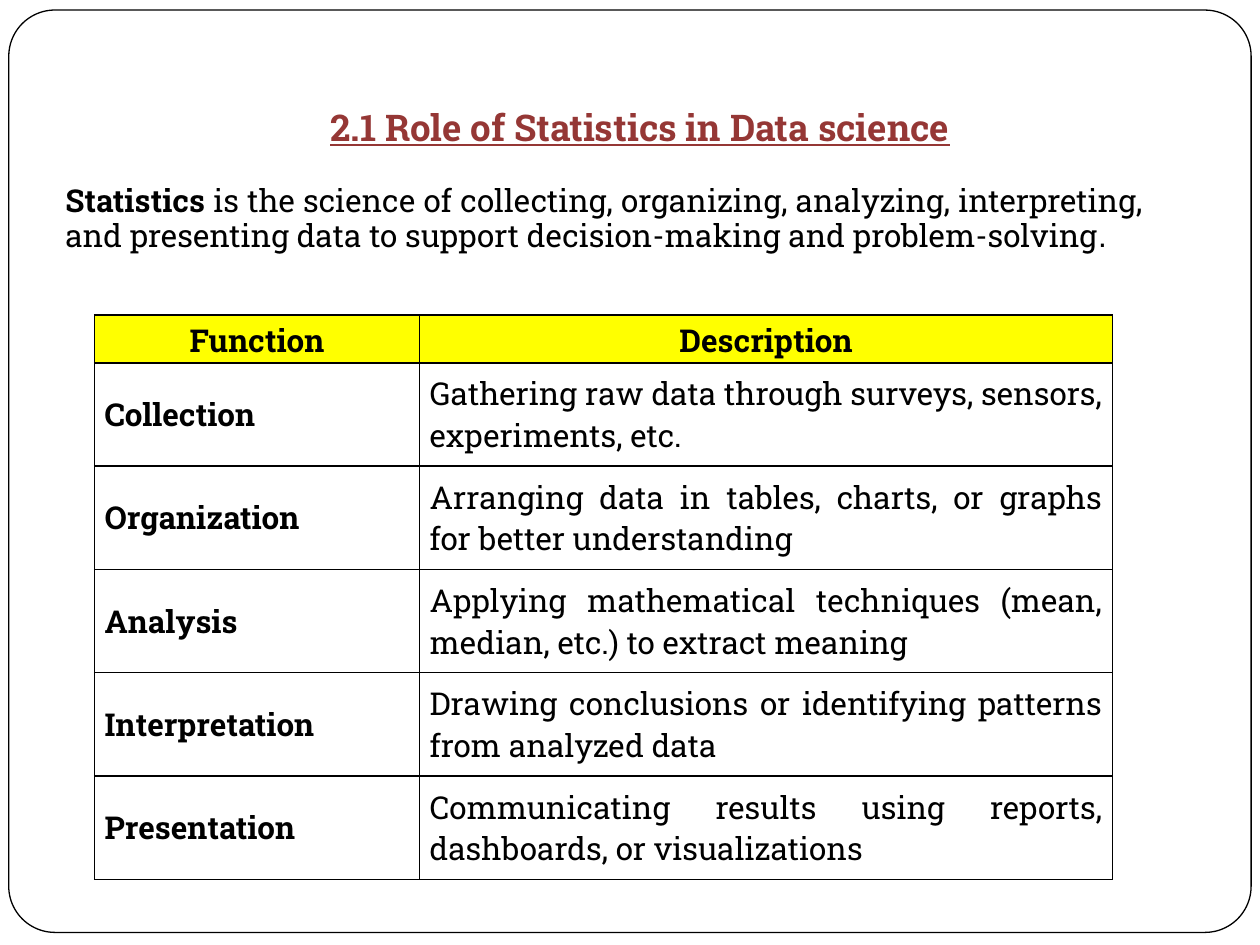
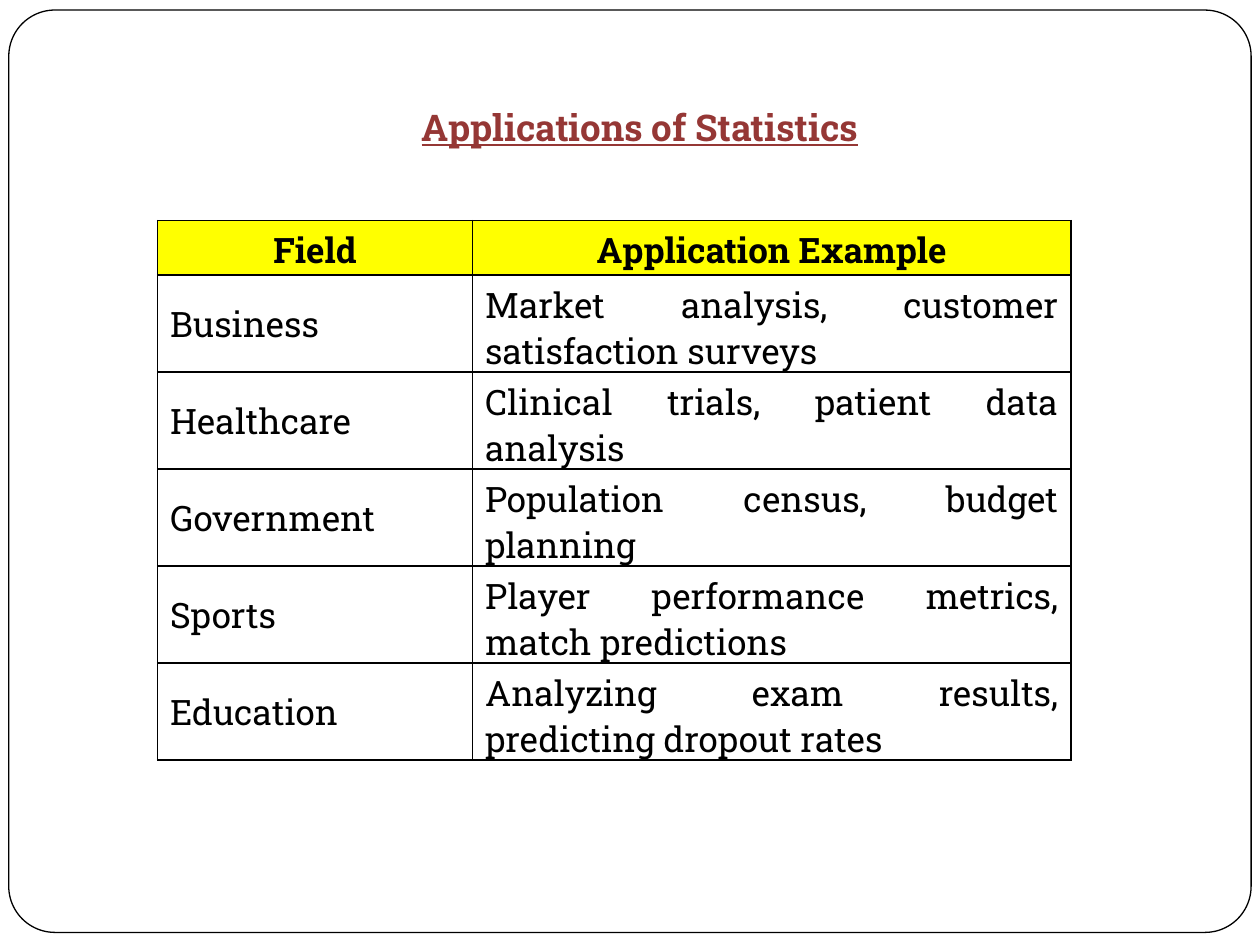
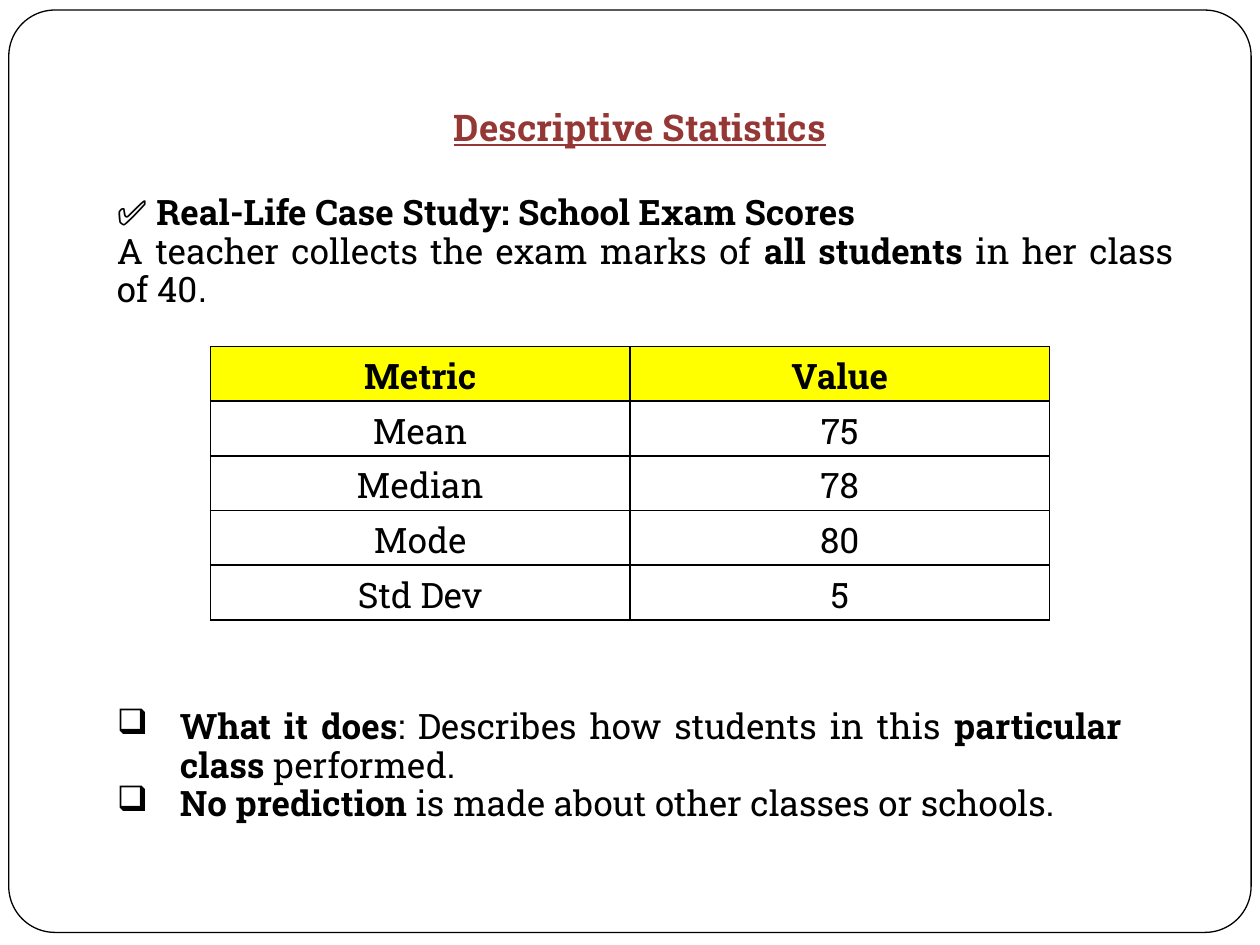
from lxml import etree
from pptx import Presentation
from pptx.dml.color import RGBColor
from pptx.enum.shapes import MSO_SHAPE as Shape
from pptx.enum.text import MSO_ANCHOR as Anchor, PP_ALIGN as Align
from pptx.oxml import parse_xml
from pptx.oxml.ns import nsdecls, qn
from pptx.util import Inches, Pt

BLACK = RGBColor(0x00, 0x00, 0x00)
MAROON = RGBColor(0x95, 0x37, 0x35)
YELLOW = RGBColor(0xFF, 0xFF, 0x00)
SERIF = "Roboto Slab"
SANS = "Arial"
LINE_SPACING = 0.91


def write_runs(paragraph, runs, size, align, color=BLACK):
    """Fill a paragraph with (text, bold) or (text, bold, font) runs."""
    paragraph.alignment = align
    for text, bold, *font in runs:
        run = paragraph.add_run()
        run.text = text
        run.font.name = font[0] if font else SERIF
        run.font.size = Pt(size)
        run.font.bold = bold
        run.font.color.rgb = color


def add_text(slide, box, paragraphs, size, bullet=None):
    """Add a justified text box, with a hanging bullet if one is given."""
    text_frame = slide.shapes.add_textbox(*map(Inches, box)).text_frame
    text_frame.word_wrap = True
    for index, runs in enumerate(paragraphs):
        paragraph = text_frame.paragraphs[0] if index == 0 else text_frame.add_paragraph()
        write_runs(paragraph, runs, size, Align.JUSTIFY)
        paragraph.line_spacing = LINE_SPACING
        if bullet:
            properties = paragraph._p.get_or_add_pPr()
            properties.set("marL", str(Inches(0.5)))
            properties.set("indent", str(Inches(-0.5)))
            color = etree.SubElement(properties, qn("a:buClr"))
            etree.SubElement(color, qn("a:srgbClr"), val=str(BLACK))
            etree.SubElement(properties, qn("a:buChar"), char=bullet)


presentation = Presentation()
presentation.slide_width = Inches(10)
presentation.slide_height = Inches(7.5)

# Title and table of each slide
pages = [
    {
        "title": "2.1 Role of Statistics in Data science",
        "at": (0.75, 2.5), "columns": (2.58, 5.5), "heights": (0.38, 0.82),
        "size": 18, "margins": (0.08, 0.04), "bold_labels": True,
        "aligns": (Align.LEFT, Align.JUSTIFY),
        "rows": [
            ("Function", "Description"),
            ("Collection", "Gathering raw data through surveys, sensors, experiments, etc."),
            ("Organization", "Arranging data in tables, charts, or graphs for better understanding"),
            ("Analysis", "Applying mathematical techniques (mean, median, etc.) to extract meaning"),
            ("Interpretation", "Drawing conclusions or identifying patterns from analyzed data"),
            ("Presentation", "Communicating results using reports, dashboards, or visualizations"),
        ],
    },
    {
        "title": "Applications of Statistics",
        "at": (1.25, 1.75), "columns": (2.5, 4.75), "heights": (0.43, 0.77),
        "size": 20, "margins": (0.1, 0.05), "bold_labels": False,
        "aligns": (Align.LEFT, Align.JUSTIFY),
        "rows": [
            ("Field", "Application Example"),
            ("Business", "Market analysis, customer satisfaction surveys"),
            ("Healthcare", "Clinical trials, patient data analysis"),
            ("Government", "Population census, budget planning"),
            ("Sports", "Player performance metrics, match predictions"),
            ("Education", "Analyzing exam results, predicting dropout rates"),
        ],
    },
    {
        "title": "Descriptive Statistics",
        "at": (1.67, 2.75), "columns": (3.33, 3.33), "heights": (0.43, 0.43),
        "size": 20, "margins": (0.1, 0.05), "bold_labels": False,
        "aligns": (Align.CENTER, Align.CENTER),
        "rows": [
            ("Metric", "Value"),
            ("Mean", "75"),
            ("Median", "78"),
            ("Mode", "80"),
            ("Std Dev", "5"),
        ],
    },
]

slides = []
for page in pages:
    slide = presentation.slides.add_slide(presentation.slide_layouts[6])
    slides.append(slide)

    # Rounded page frame
    frame = slide.shapes.add_shape(
        Shape.ROUNDED_RECTANGLE, Inches(0.07), Inches(0.08), Inches(9.86), Inches(7.32))
    frame.adjustments[0] = 0.05
    frame.shadow.inherit = False
    frame.fill.background()
    frame.line.color.rgb = BLACK
    frame.line.width = Pt(0.75)

    # Title
    title = slide.shapes.add_textbox(Inches(0.58), Inches(0.17), Inches(9), Inches(1.06))
    title.text_frame.word_wrap = True
    title.text_frame.vertical_anchor = Anchor.BOTTOM
    paragraph = title.text_frame.paragraphs[0]
    write_runs(paragraph, [(page["title"], True)], 21, Align.CENTER, MAROON)
    paragraph.runs[0].font.underline = True

    # Table
    rows, columns = page["rows"], page["columns"]
    header_height, body_height = page["heights"]
    left, top = page["at"]
    height = header_height + body_height * (len(rows) - 1)
    table = slide.shapes.add_table(
        len(rows), len(columns), Inches(left), Inches(top),
        Inches(sum(columns)), Inches(height)).table
    table.first_row = table.horz_banding = False
    for column, width in zip(table.columns, columns):
        column.width = Inches(width)
    side, edge = map(Inches, page["margins"])
    for r, texts in enumerate(rows):
        is_header = r == 0
        table.rows[r].height = Inches(header_height if is_header else body_height)
        for c, text in enumerate(texts):
            cell = table.cell(r, c)
            cell.vertical_anchor = Anchor.MIDDLE
            cell.margin_left = cell.margin_right = side
            cell.margin_top = cell.margin_bottom = edge
            bold = is_header or (page["bold_labels"] and c == 0)
            align = Align.CENTER if is_header else page["aligns"][c]
            write_runs(cell.text_frame.paragraphs[0], [(text, bold)], page["size"], align)
            if is_header:
                cell.fill.solid()
                cell.fill.fore_color.rgb = YELLOW
            else:
                cell.fill.background()
            for position, name in enumerate(("lnL", "lnR", "lnT", "lnB")):
                border = parse_xml(
                    f'<a:{name} {nsdecls("a")} w="{Pt(1)}"><a:solidFill>'
                    f'<a:srgbClr val="{BLACK}"/></a:solidFill></a:{name}>')
                cell._tc.get_or_add_tcPr().insert(position, border)

role_slide, _, descriptive_slide = slides

# Definition of statistics
add_text(role_slide, (0.42, 1.42, 8.75, 1.01), [[
    ("Statistics", True),
    (" is the science of collecting, organizing, analyzing, interpreting, and presenting "
     "data to support decision-making and problem-solving", False),
    (".", False, SANS),
]], 18)

# Case study
add_text(descriptive_slide, (0.83, 1.5, 8.58, 1.11), [
    [("✅ ", False), ("Real-Life Case Study: School Exam Scores", True)],
    [("A teacher collects the exam marks of ", False), ("all students", True),
     (" in her class of 40", False), (".", False, SANS)],
], 20)

# What the case study shows
add_text(descriptive_slide, (0.83, 5.58, 8.17, 1.41), [
    [("What it does", True), (": Describes how students in this ", False),
     ("particular class", True), (" performed.", False)],
    [("No prediction", True), (" is made about other classes or schools.", False)],
], 20, bullet="❑")

presentation.save("out.pptx")
